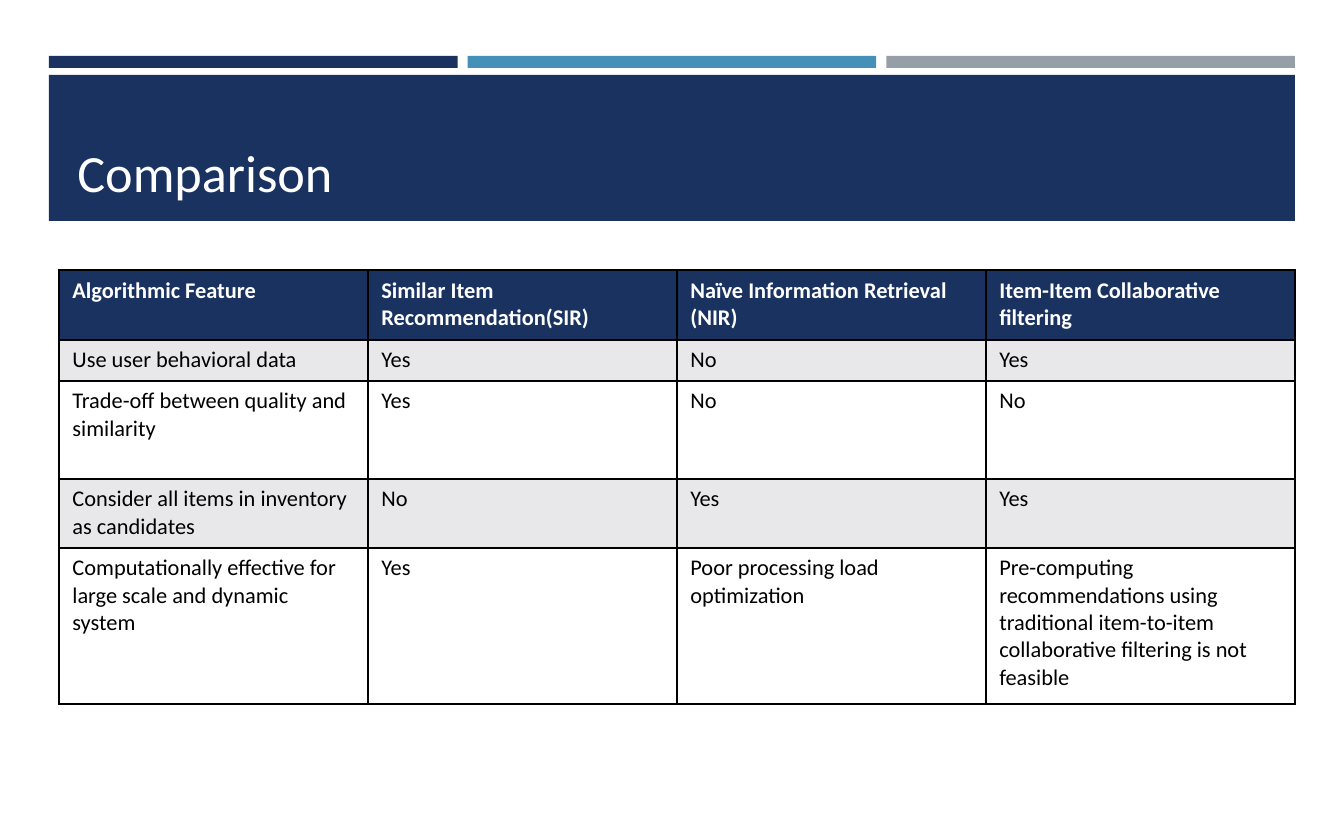
from lxml.etree import SubElement
from pptx import Presentation
from pptx.dml.color import RGBColor
from pptx.enum.shapes import MSO_SHAPE as SHAPE
from pptx.enum.text import MSO_ANCHOR as ANCHOR, PP_ALIGN as ALIGN
from pptx.oxml.ns import qn
from pptx.util import Pt

# Content
TITLE = "Comparison"
ROWS = [
    ("Algorithmic Feature", "Similar Item Recommendation(SIR)",
     "Naïve Information Retrieval (NIR)", "Item-Item Collaborative filtering"),
    ("Use user behavioral data", "Yes", "No", "Yes"),
    ("Trade-off between quality and similarity", "Yes", "No", "No"),
    ("Consider all items in inventory as candidates", "No", "Yes", "Yes"),
    ("Computationally effective for large scale and dynamic system", "Yes",
     "Poor processing load optimization",
     "Pre-computing recommendations using traditional item-to-item "
     "collaborative filtering is not feasible"),
]

# Layout in pixels, and colours
NAVY, BLUE, GREY = "1A3260", "4590B8", "969FA7"
BAND, WHITE, BLACK = "E8E8EA", "FFFFFF", "000000"
LEFT, RIGHT, BAR_GAP = 49, 1295, 10
TABLE_LEFT, TABLE_TOP, COL_W = 59, 270, 309
ROW_HEIGHTS = [70, 41, 98, 69, 156]


def px(n):
    return round(n * 914400 / 134.4)


def rgb(value):
    return RGBColor.from_string(value)


def put_text(tf, text, size, color, bold=False):
    tf.word_wrap = True
    p = tf.paragraphs[0]
    p.alignment = ALIGN.LEFT
    r = p.add_run()
    r.text = text
    r.font.name, r.font.size, r.font.bold = "Calibri", Pt(size), bold
    r.font.color.rgb = rgb(color)


def add_rect(x, y, w, h, color):
    sp = s.shapes.add_shape(SHAPE.RECTANGLE, px(x), px(y), px(w), px(h))
    sp.shadow.inherit = False
    sp.fill.solid()
    sp.fill.fore_color.rgb = rgb(color)
    sp.line.fill.background()


def set_borders(cell, color, width):
    tc_pr = cell._tc.get_or_add_tcPr()
    for side in ("lnL", "lnR", "lnT", "lnB"):
        ln = SubElement(tc_pr, qn("a:" + side), w=str(Pt(width)))
        fill = SubElement(ln, qn("a:solidFill"))
        SubElement(fill, qn("a:srgbClr"), val=color)


prs = Presentation()
prs.slide_width, prs.slide_height = px(1344), px(840)
s = prs.slides.add_slide(prs.slide_layouts[5])

# Three bars above the title band
bar_w = (RIGHT - LEFT - 2 * BAR_GAP) / 3
for i, color in enumerate((NAVY, BLUE, GREY)):
    add_rect(LEFT + i * (bar_w + BAR_GAP), 56, bar_w, 12, color)
add_rect(LEFT, 75, RIGHT - LEFT, 146, NAVY)

# Title, brought in front of its band
title = s.shapes.title
title.left, title.top, title.width, title.height = px(64), px(86), px(1216), px(124)
title.text_frame.vertical_anchor = ANCHOR.BOTTOM
put_text(title.text_frame, TITLE, 28, WHITE)
s.shapes._spTree.append(title.element)

# Comparison table
n_cols = len(ROWS[0])
table = s.shapes.add_table(len(ROWS), n_cols, px(TABLE_LEFT), px(TABLE_TOP),
                           px(COL_W * n_cols), px(sum(ROW_HEIGHTS))).table
for col in table.columns:
    col.width = px(COL_W)
for i, (row, height) in enumerate(zip(ROWS, ROW_HEIGHTS)):
    table.rows[i].height = px(height)
    header = i == 0
    fill = NAVY if header else BAND if i % 2 else WHITE
    for j, text in enumerate(row):
        cell = table.cell(i, j)
        set_borders(cell, BLACK, 1)
        cell.fill.solid()
        cell.fill.fore_color.rgb = rgb(fill)
        put_text(cell.text_frame, text, 12, WHITE if header else BLACK, bold=header)

prs.save("out.pptx")
